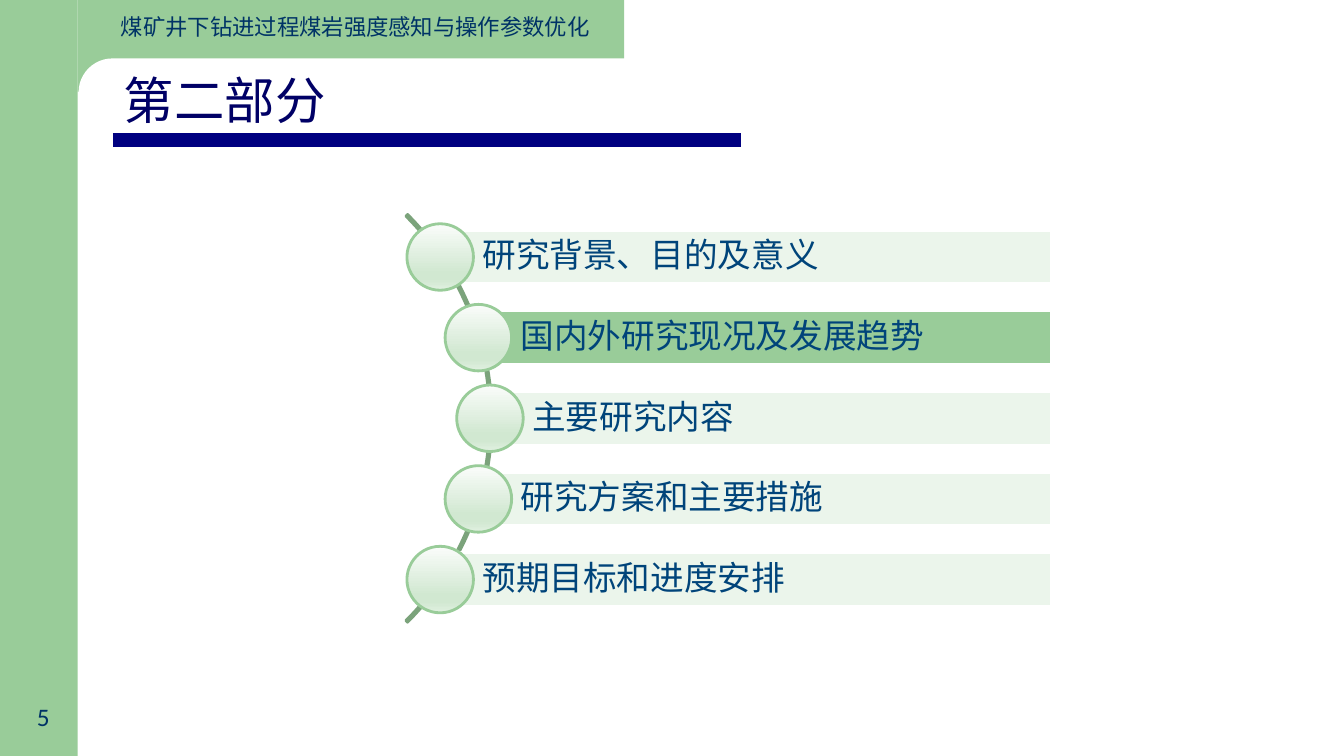
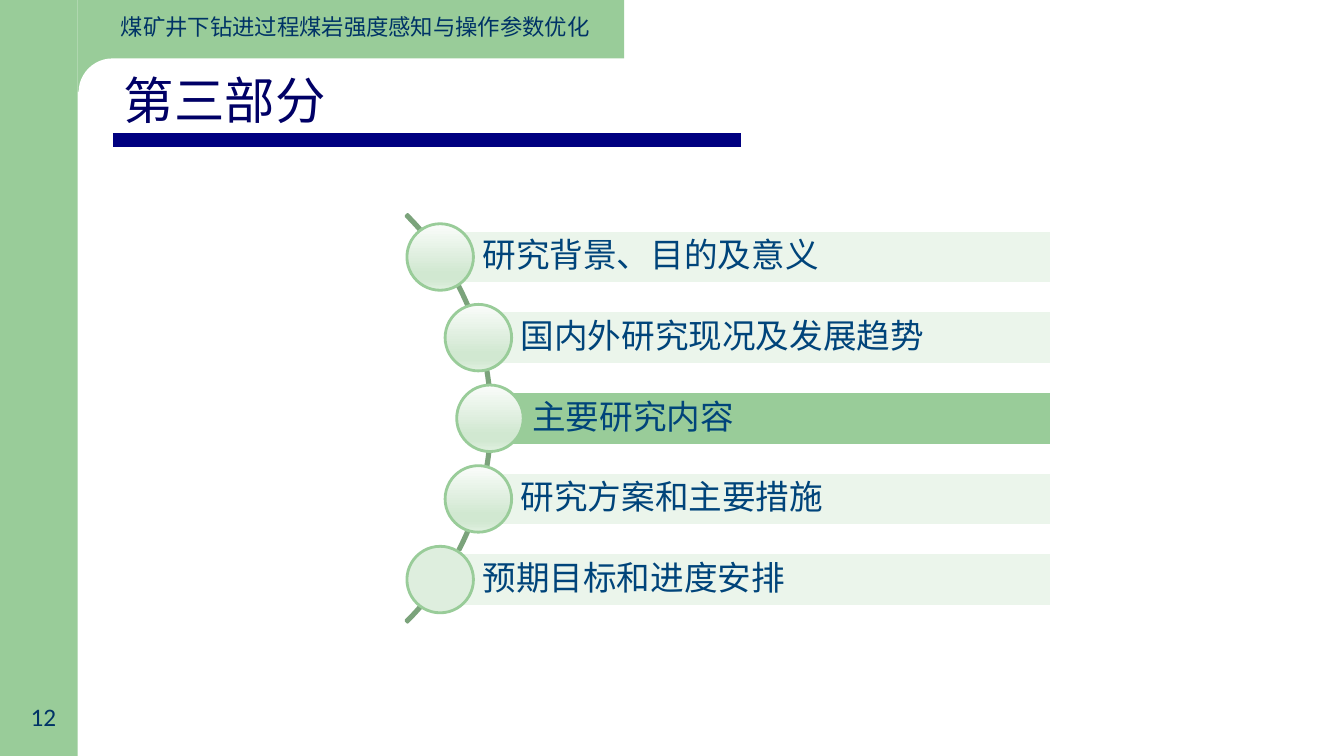
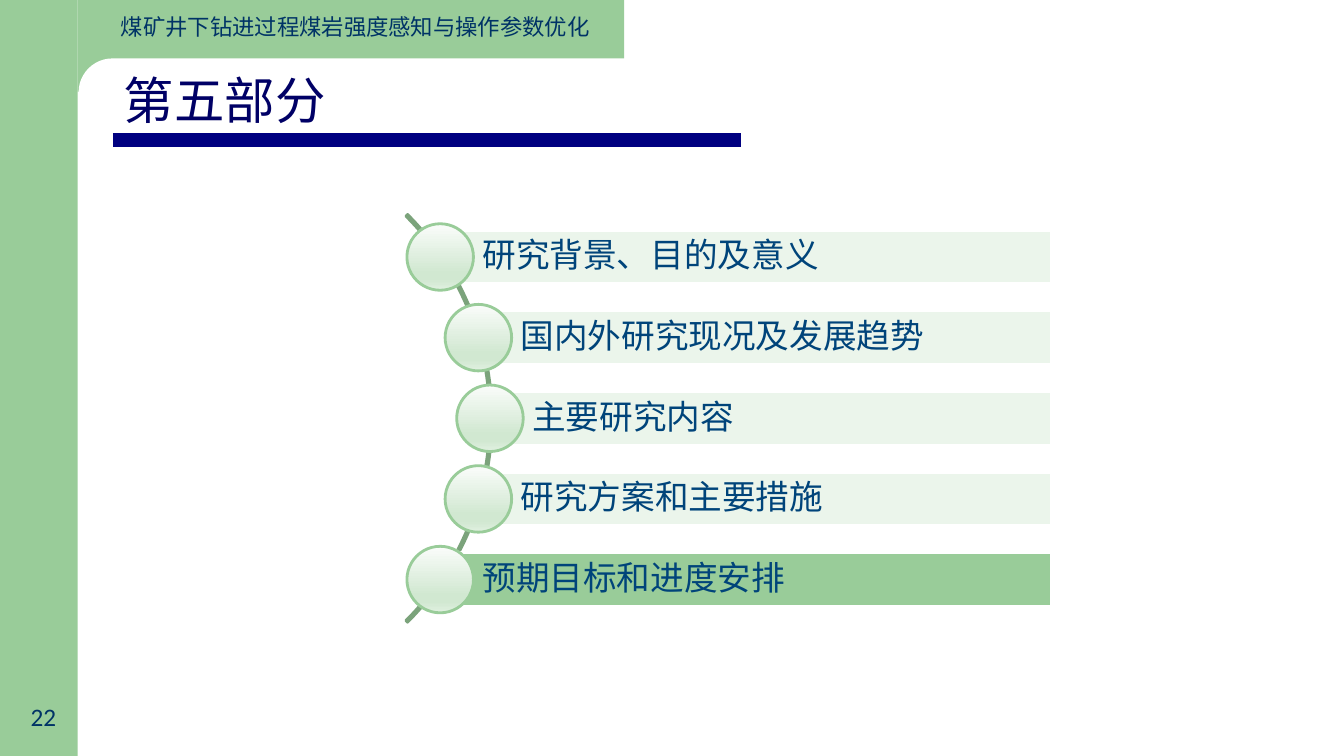
from math import sqrt

from lxml.etree import SubElement
from pptx import Presentation
from pptx.dml.color import RGBColor
from pptx.enum.shapes import MSO_CONNECTOR, MSO_SHAPE
from pptx.enum.text import MSO_ANCHOR, PP_ALIGN
from pptx.oxml.ns import qn
from pptx.util import Inches, Pt

# Shared look
GREEN = RGBColor(0x99, 0xCC, 0x99)
PALE_GREEN = RGBColor(0xEB, 0xF5, 0xEB)
FLAT_GREEN = RGBColor(0xDE, 0xEE, 0xDE)
ARC_GREEN = RGBColor(0x7B, 0xA3, 0x7B)
WHITE = RGBColor(0xFF, 0xFF, 0xFF)
NAVY = RGBColor(0x00, 0x00, 0x80)
TITLE_BLUE = RGBColor(0x00, 0x00, 0x66)
HEADER_BLUE = RGBColor(0x00, 0x33, 0x66)
TOPIC_BLUE = RGBColor(0x00, 0x44, 0x7A)
DOT_STOPS = [
    (0, RGBColor(0xFA, 0xFC, 0xFA)),
    (74, RGBColor(0xD1, 0xE8, 0xD1)),
    (83, RGBColor(0xD1, 0xE8, 0xD1)),
    (100, RGBColor(0xE0, 0xF0, 0xE0)),
]
CJK_FONT = "Noto Sans CJK SC"
NUMBER_FONT = "Calibri"

# Content
HEADER = "煤矿井下钻进过程煤岩强度感知与操作参数优化"
TOPICS = [
    "研究背景、目的及意义",
    "国内外研究现况及发展趋势",
    "主要研究内容",
    "研究方案和主要措施",
    "预期目标和进度安排",
]
# Title, page number, index of the current topic, indexes of flat dots
SECTIONS = [
    ("第二部分", "5", 1, ()),
    ("第三部分", "12", 2, (4,)),
    ("第五部分", "22", 4, ()),
]

# Agenda geometry, in inches
ARC_X, ARC_Y, ARC_RADIUS = 2.02, 4.15, 2.86
DOT_ORBIT = 2.84
DOT_SIZE = 0.66
TOPIC_STEP = 0.8
BAR_RIGHT, BAR_HEIGHT = 10.43, 0.53


def style_text(frame, text, size, color, font=CJK_FONT, align=PP_ALIGN.LEFT):
    frame.text = text
    frame.word_wrap = True
    paragraph = frame.paragraphs[0]
    paragraph.alignment = align
    run = paragraph.runs[0]
    run.font.size = Pt(size)
    run.font.name = font
    run.font.color.rgb = color
    SubElement(run.font._element, qn("a:ea")).set("typeface", font)


def add_label(slide, left, top, width, height, *text_style, **options):
    label = slide.shapes.add_textbox(
        Inches(left), Inches(top), Inches(width), Inches(height))
    style_text(label.text_frame, *text_style, **options)


def add_block(slide, kind, left, top, width, height, fill=None, line=None):
    block = slide.shapes.add_shape(
        kind, Inches(left), Inches(top), Inches(width), Inches(height))
    block.shadow.inherit = False
    if fill is None:
        block.fill.background()
    else:
        block.fill.solid()
        block.fill.fore_color.rgb = fill
    if line is None:
        block.line.fill.background()
    else:
        block.line.color.rgb = line
        block.line.width = Pt(2)
    return block


def apply_dot_gradient(dot):
    dot.fill.gradient()
    dot.fill.gradient_angle = 270
    stops = dot._element.spPr.find(qn("a:gradFill")).find(qn("a:gsLst"))
    for old_stop in list(stops):
        stops.remove(old_stop)
    for percent, color in DOT_STOPS:
        stop = SubElement(stops, qn("a:gs"), pos=str(percent * 1000))
        SubElement(stop, qn("a:srgbClr"), val=str(color))


def add_frame(slide, title, page_number):
    # Green side and top bands with a rounded inner corner
    add_block(slide, MSO_SHAPE.RECTANGLE, -0.01, 0, 0.78, 7.5, GREEN)
    add_block(slide, MSO_SHAPE.RECTANGLE, 0.77, -0.01, 5.42, 0.92, GREEN)
    corner = add_block(slide, MSO_SHAPE.ROUNDED_RECTANGLE,
                       0.78, 0.58, 7.44, 0.67, WHITE)
    corner.adjustments[0] = 0.5
    # Header, title and page number
    add_label(slide, 1.1, 0.08, 5.02, 0.37, HEADER, 16, HEADER_BLUE)
    add_label(slide, 1.13, 0.64, 2.44, 0.71, title, 36, TITLE_BLUE)
    add_label(slide, 0, 6.91, 0.86, 0.4, page_number, 18, HEADER_BLUE,
              font=NUMBER_FONT, align=PP_ALIGN.CENTER)


def add_title_rule(slide):
    rule = slide.shapes.add_connector(
        MSO_CONNECTOR.STRAIGHT,
        Inches(1.12), Inches(1.39), Inches(7.35), Inches(1.39))
    rule.line.color.rgb = NAVY
    rule.line.width = Pt(10)
    SubElement(rule._element.spPr, qn("a:effectLst"))


def add_topic(slide, topic, x, y, is_current, is_flat):
    bar = add_block(slide, MSO_SHAPE.RECTANGLE, x, y - BAR_HEIGHT / 2,
                    BAR_RIGHT - x, BAR_HEIGHT,
                    GREEN if is_current else PALE_GREEN, WHITE)
    frame = bar.text_frame
    style_text(frame, topic, 24, TOPIC_BLUE)
    frame.paragraphs[0].line_spacing = 0.9
    frame.vertical_anchor = MSO_ANCHOR.MIDDLE
    frame.margin_left = Inches(0.42)
    frame.margin_top = frame.margin_right = frame.margin_bottom = Inches(0.07)

    dot = add_block(slide, MSO_SHAPE.OVAL, x - DOT_SIZE / 2, y - DOT_SIZE / 2,
                    DOT_SIZE, DOT_SIZE, FLAT_GREEN, GREEN)
    if not is_flat:
        apply_dot_gradient(dot)


def add_agenda(slide, current, flat_dots):
    arc = add_block(slide, MSO_SHAPE.BLOCK_ARC,
                    ARC_X - ARC_RADIUS, ARC_Y - ARC_RADIUS,
                    2 * ARC_RADIUS, 2 * ARC_RADIUS, line=ARC_GREEN)
    for index, value in enumerate((189, 27, 0.004)):
        arc.adjustments[index] = value
    # Topics are evenly spaced in height, with their dots on the arc
    for index, topic in enumerate(TOPICS):
        offset = (index - (len(TOPICS) - 1) / 2) * TOPIC_STEP
        x = ARC_X + sqrt(DOT_ORBIT ** 2 - offset ** 2)
        add_topic(slide, topic, x, ARC_Y + offset,
                  index == current, index in flat_dots)


def main():
    deck = Presentation()
    deck.slide_width = Inches(13.33)
    deck.slide_height = Inches(7.5)
    blank = deck.slide_layouts[6]
    for title, page_number, current, flat_dots in SECTIONS:
        slide = deck.slides.add_slide(blank)
        add_frame(slide, title, page_number)
        add_agenda(slide, current, flat_dots)
        add_title_rule(slide)
    deck.save("out.pptx")


if __name__ == "__main__":
    main()
